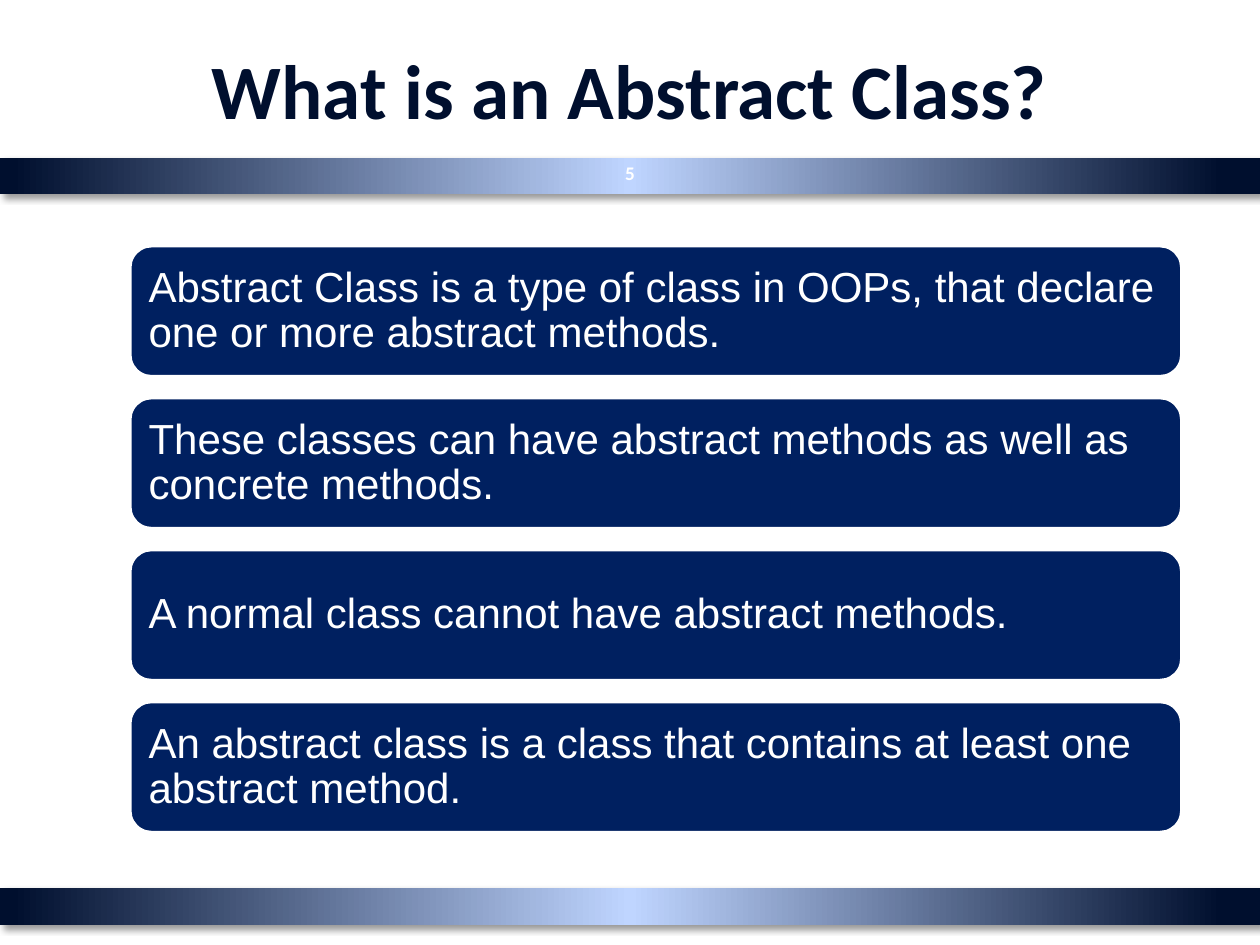
import pptx
import pptx.dml.color
import pptx.enum.shapes
import pptx.enum.text
import pptx.oxml
import pptx.oxml.ns
import pptx.util

NAVY = pptx.dml.color.RGBColor(0x00, 0x20, 0x60)
MIDNIGHT = pptx.dml.color.RGBColor(0x00, 0x0F, 0x2E)
SKY = pptx.dml.color.RGBColor(0xBF, 0xD5, 0xFF)
BLACK = pptx.dml.color.RGBColor(0x00, 0x00, 0x00)
WHITE = pptx.dml.color.RGBColor(0xFF, 0xFF, 0xFF)

SLIDE_WIDTH, SLIDE_HEIGHT = 10, 7.5
BAND_HEIGHT = 0.29
BAND_TOPS = (7.05, 1.25)
BAND_STOPS = ((0, MIDNIGHT), (3, MIDNIGHT), (50, SKY), (99, MIDNIGHT), (100, MIDNIGHT))
CARD_LEFT, CARD_TOP = 1.03, 1.95
CARD_WIDTH, CARD_HEIGHT = 8.35, 1.04
ROW_PITCH = 1.206

STATEMENTS = (
    "Abstract Class is a type of class in OOPs, that declare one or more abstract methods.",
    "These classes can have abstract methods as well as concrete methods.",
    "A normal class cannot have abstract methods.",
    "An abstract class is a class that contains at least one abstract method.",
)

TITLE_FONT = {"name": "Calibri", "size": pptx.util.Pt(44), "bold": True}
NUMBER_FONT = {"name": "Calibri", "size": pptx.util.Pt(11), "bold": True}
CARD_FONT = {"name": "Arial", "size": pptx.util.Pt(24), "bold": False}
CENTERED = {"alignment": pptx.enum.text.PP_ALIGN.CENTER}
CARD_PARAGRAPH = {"alignment": pptx.enum.text.PP_ALIGN.LEFT, "line_spacing": 0.9}
MIDDLE = {"word_wrap": True, "vertical_anchor": pptx.enum.text.MSO_ANCHOR.MIDDLE}
CARD_FRAME = {
    **MIDDLE,
    **{f"margin_{side}": pptx.util.Inches(0.1) for side in ("left", "top", "right", "bottom")},
}


def apply_format(target, values):
    for name, value in values.items():
        setattr(target, name, value)


def box(left, top, width, height):
    return [pptx.util.Inches(length) for length in (left, top, width, height)]


def write_text(shape, text, frame_format, paragraph_format, font_format, color):
    frame = shape.text_frame
    apply_format(frame, frame_format)
    paragraph = frame.paragraphs[0]
    apply_format(paragraph, paragraph_format)
    run = paragraph.add_run()
    run.text = text
    apply_format(run.font, font_format)
    run.font.color.rgb = color


def add_band(slide, top):
    shape = slide.shapes.add_shape(
        pptx.enum.shapes.MSO_SHAPE.RECTANGLE, *box(0, top, SLIDE_WIDTH, BAND_HEIGHT)
    )
    shape.line.fill.background()
    namespace = pptx.oxml.ns.nsdecls("a")
    stops = "".join(
        f'<a:gs pos="{position * 1000}"><a:srgbClr val="{color}"/></a:gs>'
        for position, color in BAND_STOPS
    )
    gradient = pptx.oxml.parse_xml(
        f'<a:gradFill {namespace} rotWithShape="1"><a:gsLst>{stops}</a:gsLst>'
        '<a:lin ang="10800000" scaled="0"/></a:gradFill>'
    )
    shadow = pptx.oxml.parse_xml(
        f'<a:effectLst {namespace}><a:outerShdw blurRad="{pptx.util.Pt(4)}" '
        f'dist="{pptx.util.Pt(3)}" dir="2700000" algn="tl" rotWithShape="0">'
        f'<a:srgbClr val="{BLACK}"><a:alpha val="40000"/></a:srgbClr>'
        "</a:outerShdw></a:effectLst>"
    )
    properties = shape.element.spPr
    properties.find(pptx.oxml.ns.qn("a:prstGeom")).addnext(gradient)
    properties.append(shadow)


def add_title(slide, text):
    title = slide.shapes.title
    bounds = box(0.5, 0.08, 9, 1.25)
    apply_format(title, dict(zip(("left", "top", "width", "height"), bounds)))
    write_text(title, text, MIDDLE, CENTERED, TITLE_FONT, MIDNIGHT)


def add_page_number(slide, text):
    shape = slide.shapes.add_textbox(*box(4.79, 1.17, 0.42, 0.4))
    write_text(shape, text, MIDDLE, CENTERED, NUMBER_FONT, WHITE)


def add_card(slide, row, text):
    shape = slide.shapes.add_shape(
        pptx.enum.shapes.MSO_SHAPE.ROUNDED_RECTANGLE,
        *box(CARD_LEFT, CARD_TOP + row * ROW_PITCH, CARD_WIDTH, CARD_HEIGHT),
    )
    shape.shadow.inherit = False
    shape.fill.solid()
    shape.fill.fore_color.rgb = NAVY
    shape.line.color.rgb = WHITE
    shape.line.width = pptx.util.Pt(2)
    write_text(shape, text, CARD_FRAME, CARD_PARAGRAPH, CARD_FONT, WHITE)


def main():
    presentation = pptx.Presentation()
    presentation.slide_width = pptx.util.Inches(SLIDE_WIDTH)
    presentation.slide_height = pptx.util.Inches(SLIDE_HEIGHT)
    slide = presentation.slides.add_slide(presentation.slide_layouts[5])
    for top in BAND_TOPS:
        add_band(slide, top)
    add_title(slide, "What is an Abstract Class?")
    add_page_number(slide, "5")
    for row, statement in enumerate(STATEMENTS):
        add_card(slide, row, statement)
    presentation.save("out.pptx")


if __name__ == "__main__":
    main()
